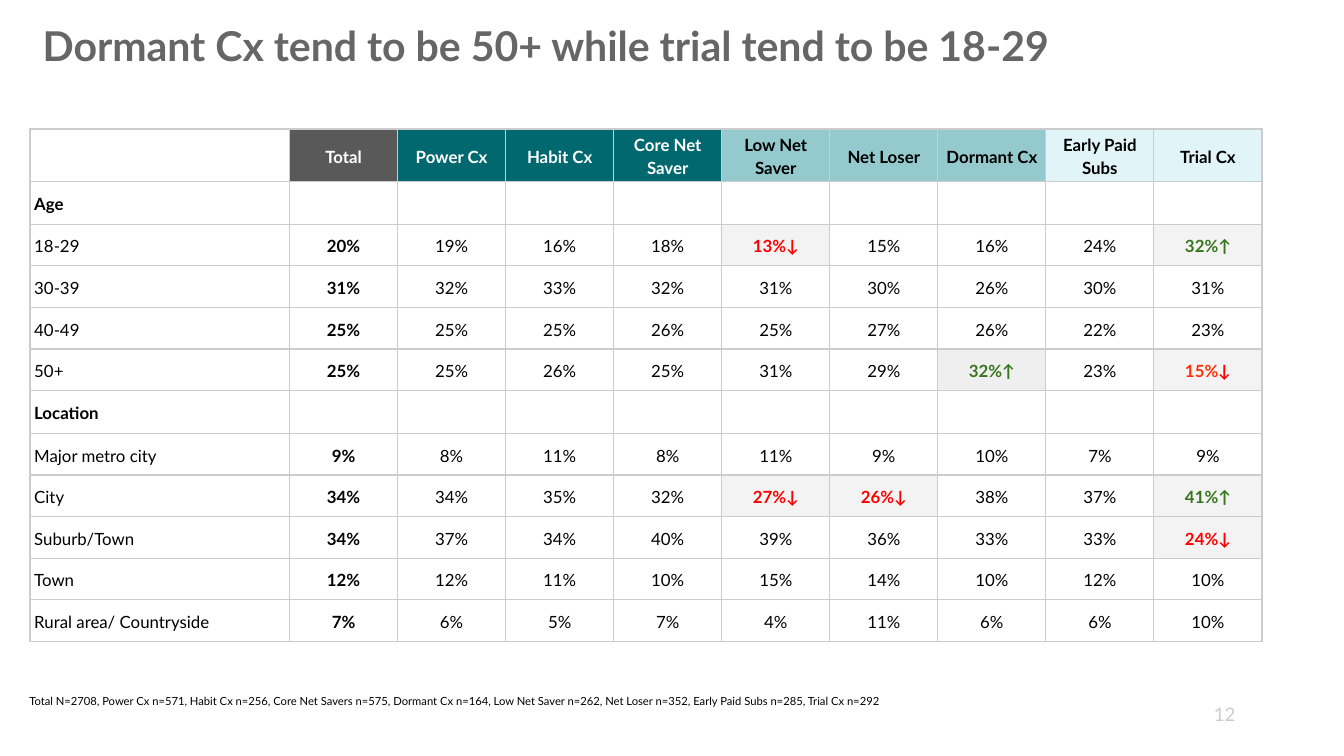
import dataclasses

import lxml.etree
import pptx
import pptx.dml.color
import pptx.enum.text
import pptx.oxml.ns
import pptx.slide
import pptx.table
import pptx.text.text
import pptx.util

Pt = pptx.util.Pt
ALIGN = pptx.enum.text.PP_ALIGN
ANCHOR = pptx.enum.text.MSO_ANCHOR
qn = pptx.oxml.ns.qn

HUES = {
    "black": "000000", "white": "FFFFFF", "title": "666666", "line": "CCCCCC",
    "gray": "595959", "deep": "00686E", "teal": "00838A", "ice": "D1F0F6",
    "red": "FF0000", "flame": "FF3008", "green": "38761D",
    "pale": "F3F3F3", "mist": "EFEFEF",
}
SIGNS = {"↑": "green", "↓": "red"}
SHADES = {(5, 7): "mist"}
TINTS = {(5, 9): "flame"}


@dataclasses.dataclass
class Head:
    text: str
    fill: str
    ink: str = "white"
    alpha: int = 100


@dataclasses.dataclass
class Row:
    label: str
    cells: str = ""
    high: float = 22.3


@dataclasses.dataclass
class Note:
    text: str
    box: tuple[float, float, float, float]
    size: float
    ink: str
    bold: bool = False
    align: ALIGN = ALIGN.LEFT
    anchor: ANCHOR = ANCHOR.TOP
    space: float = 1.0


HEADS = [
    Head("Total", "gray"),
    Head("Power Cx", "deep"),
    Head("Habit Cx", "deep"),
    Head("Core Net Saver", "deep"),
    Head("Low Net Saver", "teal", "black", 42),
    Head("Net Loser", "teal", "black", 42),
    Head("Dormant Cx", "teal", "black", 42),
    Head("Early Paid Subs", "ice", "black", 63),
    Head("Trial Cx", "ice", "black", 63),
]
ROWS = [
    Row("Age", high=23),
    Row("18-29", "20% 19% 16% 18% 13%↓ 15% 16% 24% 32%↑"),
    Row("30-39", "31% 32% 33% 32% 31% 30% 26% 30% 31%"),
    Row("40-49", "25% 25% 25% 26% 25% 27% 26% 22% 23%"),
    Row("50+", "25% 25% 26% 25% 31% 29% 32%↑ 23% 15%↓"),
    Row("Location", high=23),
    Row("Major metro city", "9% 8% 11% 8% 11% 9% 10% 7% 9%"),
    Row("City", "34% 34% 35% 32% 27%↓ 26%↓ 38% 37% 41%↑"),
    Row("Suburb/Town", "34% 37% 34% 40% 39% 36% 33% 33% 24%↓"),
    Row("Town", "12% 12% 11% 10% 15% 14% 10% 12% 10%"),
    Row("Rural area/ Countryside", "7% 6% 5% 7% 4% 11% 6% 6% 10%"),
]
NOTES = [
    Note("12", (625.7, 367.2, 43.2, 31), 10, "line", align=ALIGN.RIGHT, anchor=ANCHOR.MIDDLE),
    Note("Dormant Cx tend to be 50+ while trial tend to be 18-29",
         (15.8, 3.6, 573.8, 41), 22, "title", True),
    Note("Total N=2708, Power Cx n=571, Habit Cx n=256, Core Net Savers n=575, "
         "Dormant Cx n=164, Low Net Saver n=262, Net Loser n=352, "
         "Early Paid Subs n=285, Trial Cx n=292",
         (8.6, 366.5, 581.8, 23), 6, "black", space=1.15),
]


def hue(name: str) -> pptx.dml.color.RGBColor:
    """Look up a colour by name."""
    return pptx.dml.color.RGBColor.from_string(HUES[name])


def style(para: pptx.text.text._Paragraph, size: float, ink: str, bold: bool,
          align: ALIGN, space: float) -> None:
    """Set the font and layout of a paragraph."""
    para.alignment = align
    para.line_spacing = space
    font = para.font
    font.name, font.size, font.bold = "Lato", Pt(size), bold
    font.color.rgb = hue(ink)


def frame(cell: pptx.table._Cell) -> None:
    """Set the margins and four borders of a cell."""
    cell.margin_left = cell.margin_right = Pt(2.25)
    cell.margin_top = cell.margin_bottom = Pt(1.5)
    cell.vertical_anchor = ANCHOR.MIDDLE
    props = cell._tc.get_or_add_tcPr()
    for side in ("lnL", "lnR", "lnT", "lnB"):
        line = lxml.etree.SubElement(props, qn(f"a:{side}"), w=str(Pt(0.75)))
        solid = lxml.etree.SubElement(line, qn("a:solidFill"))
        lxml.etree.SubElement(solid, qn("a:srgbClr"), val=HUES["line"])


def paint(cell: pptx.table._Cell, fill: str, alpha: int = 100) -> None:
    """Fill a cell, clear when no colour is named."""
    if not fill:
        cell.fill.background()
        return
    cell.fill.solid()
    cell.fill.fore_color.rgb = hue(fill)
    if alpha < 100:
        color = cell._tc.tcPr.find(qn("a:solidFill")).find(qn("a:srgbClr"))
        lxml.etree.SubElement(color, qn("a:alpha"), val=str(alpha * 1000))


def write(cell: pptx.table._Cell, text: str, ink: str = "black", bold: bool = False,
          align: ALIGN = ALIGN.CENTER, tint: str = "") -> None:
    """Put text in a cell, with a tint on all but its last sign."""
    para = cell.text_frame.paragraphs[0]
    if not text:
        para._p.get_or_add_endParaRPr().set("sz", "900")
        return
    for part in ((text[:-1], text[-1]) if tint else (text,)):
        para.add_run().text = part
    style(para, 9, ink, bold, align, 1.15)
    if tint:
        para.runs[0].font.color.rgb = hue(tint)


def grid(slide: pptx.slide.Slide) -> None:
    """Draw the table of shares by group."""
    highs = [28, *(row.high for row in ROWS)]
    wides = [139, *[57.9] * len(HEADS)]
    table = slide.shapes.add_table(len(highs), len(wides), Pt(16.1), Pt(69.1),
                                   Pt(sum(wides)), Pt(sum(highs))).table
    table.first_row = table.horz_banding = False
    for col, wide in zip(table.columns, wides):
        col.width = Pt(wide)
    for line, high in zip(table.rows, highs):
        line.height = Pt(high)
    for cell in table.iter_cells():
        frame(cell)
    paint(table.cell(0, 0), "")
    write(table.cell(0, 0), "")
    for x, head in enumerate(HEADS, 1):
        cell = table.cell(0, x)
        paint(cell, head.fill, head.alpha)
        write(cell, head.text, head.ink, True)
    for y, row in enumerate(ROWS, 1):
        paint(table.cell(y, 0), "")
        write(table.cell(y, 0), row.label, bold=not row.cells, align=ALIGN.LEFT)
        values = row.cells.split() or [""] * len(HEADS)
        for x, value in enumerate(values, 1):
            cell = table.cell(y, x)
            ink = SIGNS.get(value[-1:], "")
            paint(cell, SHADES.get((y, x), "pale") if ink else "")
            write(cell, value, ink or "black", bool(ink) or x == 1, tint=TINTS.get((y, x), ""))


def label(slide: pptx.slide.Slide, note: Note) -> None:
    """Draw one text box."""
    text = slide.shapes.add_textbox(*map(Pt, note.box)).text_frame
    text.word_wrap = True
    text.vertical_anchor = note.anchor
    text.margin_left = text.margin_right = text.margin_top = text.margin_bottom = Pt(7.2)
    para = text.paragraphs[0]
    para.add_run().text = note.text
    style(para, note.size, note.ink, note.bold, note.align, note.space)


def main() -> None:
    """Build and save the slide."""
    deck = pptx.Presentation()
    deck.slide_width, deck.slide_height = Pt(720), Pt(405)
    slide = deck.slides.add_slide(deck.slide_layouts[6])
    grid(slide)
    for note in NOTES:
        label(slide, note)
    deck.save("out.pptx")


if __name__ == "__main__":
    main()
